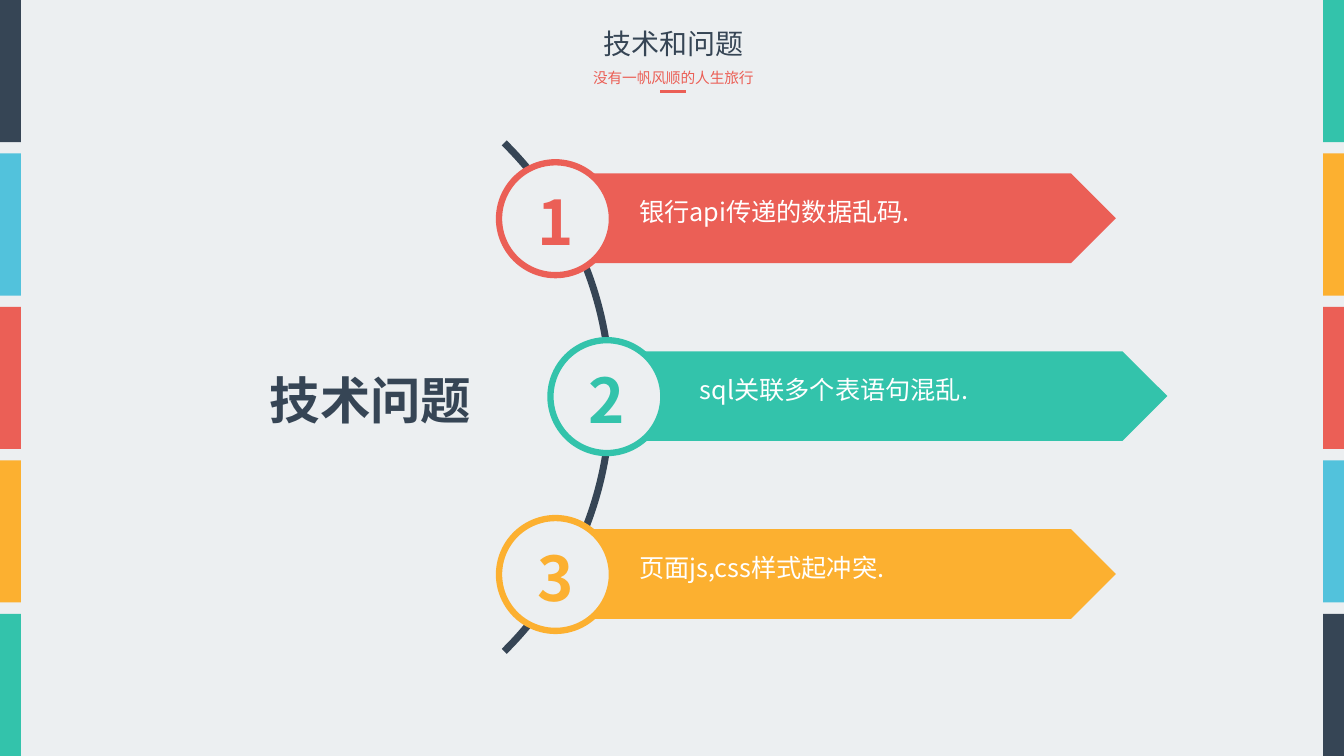
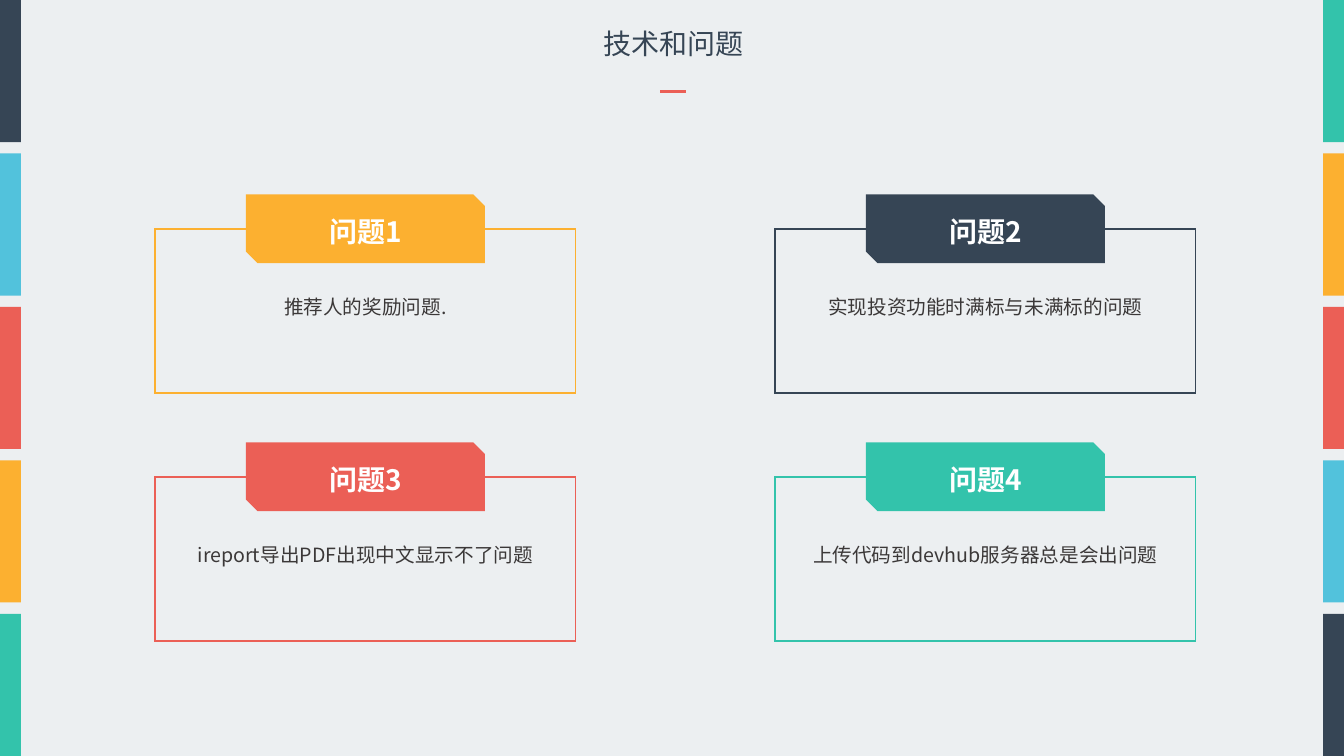
"""Build two slides on technical problems: a numbered arc and a grid of cards."""
from dataclasses import dataclass

from lxml import etree
from pptx import Presentation
from pptx.dml.color import RGBColor
from pptx.enum.shapes import MSO_CONNECTOR, MSO_SHAPE
from pptx.enum.text import MSO_ANCHOR, MSO_AUTO_SIZE, PP_ALIGN
from pptx.oxml.ns import qn
from pptx.presentation import Presentation as Deck
from pptx.shapes.autoshape import Shape
from pptx.slide import Slide
from pptx.util import Inches, Pt

NAVY = RGBColor(0x36, 0x45, 0x55)
SKY = RGBColor(0x52, 0xC2, 0xDC)
CORAL = RGBColor(0xEB, 0x5F, 0x56)
AMBER = RGBColor(0xFC, 0xB0, 0x30)
TEAL = RGBColor(0x33, 0xC3, 0xAB)
PAPER = RGBColor(0xEC, 0xEF, 0xF1)
WHITE = RGBColor(0xFF, 0xFF, 0xFF)
INK = RGBColor(0x3B, 0x38, 0x38)

RECT = MSO_SHAPE.RECTANGLE
OVAL = MSO_SHAPE.OVAL
ARROW = MSO_SHAPE.PENTAGON
ARC = MSO_SHAPE.BLOCK_ARC
SNIPPED = MSO_SHAPE.SNIP_2_DIAG_RECTANGLE
STRAIGHT = MSO_CONNECTOR.STRAIGHT
TOP = MSO_ANCHOR.TOP
NO_FIT = MSO_AUTO_SIZE.NONE
LEFT, CENTER = PP_ALIGN.LEFT, PP_ALIGN.CENTER

FONT = "Noto Sans CJK SC"
WIDTH, HEIGHT = Inches(13.33), Inches(7.5)
TITLE_ONLY = 5
BAND_COLORS = (NAVY, SKY, CORAL, AMBER, TEAL)
BAND_WIDTH, BAND_GAP = 1.56, 1.5


@dataclass(frozen=True)
class Box:
    """Place and size in percent of the slide."""
    left: float
    top: float
    width: float
    height: float

    def moved(self, columns: float, rows: float) -> "Box":
        return Box(self.left + columns, self.top + rows, self.width, self.height)

    def lengths(self) -> tuple[int, int, int, int]:
        return (across(self.left), down(self.top), across(self.width), down(self.height))


@dataclass(frozen=True)
class TextStyle:
    size: float
    color: RGBColor
    bold: bool = False
    align: PP_ALIGN = CENTER
    spacing: float = 1.0
    inset_left: float = 0.1
    inset_top: float = 0.05


@dataclass(frozen=True)
class Step:
    text: str
    color: RGBColor
    shift: float
    inset: float


@dataclass(frozen=True)
class Card:
    label: str
    text: str
    color: RGBColor


TITLE_BOX = Box(36.98, 2.8, 26.25, 4.9)
SUBTITLE_BOX = Box(36.98, 7.73, 26.25, 4.4)
RULE_LEFT, RULE_RIGHT, RULE_TOP = 49.13, 51.08, 12.13
ARC_BOX = Box(-7.87, 5.07, 53.4, 94.93)
ARC_ADJUSTMENTS = (189, 27, 0.004)
HEADING_BOX = Box(18.68, 48.13, 17.78, 9.47)
ARROW_BOX = Box(42.98, 22.93, 40.05, 11.87)
CIRCLE_BOX = Box(37.13, 21.47, 8.4, 14.93)
STEP_ROWS = 23.53
FRAME_BOX = Box(11.55, 30.27, 31.28, 21.73)
TAB_BOX = Box(18.3, 25.73, 17.78, 9.07)
CARD_COLUMNS, CARD_ROWS = 46.13, 32.8

TITLE_STYLE = TextStyle(20, NAVY)
SUBTITLE_STYLE = TextStyle(10.5, CORAL, spacing=1.3)
HEADING_STYLE = TextStyle(36, NAVY, bold=True)
LABEL_STYLE = TextStyle(20, WHITE, bold=True, inset_top=0.14)
CARD_STYLE = TextStyle(14, INK, spacing=1.3, inset_top=0.59)

STEPS = (
    Step("银行api传递的数据乱码.", CORAL, 0, 0.61),
    Step("sql关联多个表语句混乱.", TEAL, 3.83, 0.7),
    Step("页面js,css样式起冲突.", AMBER, 0, 0.61),
)
CARDS = (
    Card("问题1", "推荐人的奖励问题.", AMBER),
    Card("问题2", "实现投资功能时满标与未满标的问题", NAVY),
    Card("问题3", "ireport导出PDF出现中文显示不了问题", CORAL),
    Card("问题4", "上传代码到devhub服务器总是会出问题", TEAL),
)


def across(share: float) -> int:
    return round(WIDTH * share / 100)


def down(share: float) -> int:
    return round(HEIGHT * share / 100)


def write(holder: Shape, text: str, style: TextStyle) -> None:
    frame = holder.text_frame
    frame_format = {
        "auto_size": NO_FIT,
        "word_wrap": True,
        "vertical_anchor": TOP,
        "margin_left": Inches(style.inset_left),
        "margin_right": Inches(0.1),
        "margin_top": Inches(style.inset_top),
        "margin_bottom": 0,
    }
    for name, value in frame_format.items():
        setattr(frame, name, value)
    paragraph = frame.paragraphs[0]
    paragraph.alignment = style.align
    paragraph.line_spacing = style.spacing
    run = paragraph.add_run()
    run.text = text
    font_format = {"name": FONT, "size": Pt(style.size), "bold": style.bold}
    for name, value in font_format.items():
        setattr(run.font, name, value)
    run.font.color.rgb = style.color
    etree.SubElement(run._r.get_or_add_rPr(), qn("a:ea"), typeface=FONT)


def add_label(slide: Slide, box: Box, text: str, style: TextStyle) -> None:
    write(slide.shapes.add_textbox(*box.lengths()), text, style)


def add_figure(slide: Slide, kind: MSO_SHAPE, box: Box, fill: RGBColor | None = None,
               line: RGBColor | None = None, weight: float = 0) -> Shape:
    figure = slide.shapes.add_shape(kind, *box.lengths())
    figure.shadow.inherit = False
    if fill is None:
        figure.fill.background()
    else:
        figure.fill.solid()
        figure.fill.fore_color.rgb = fill
    if line is None:
        figure.line.fill.background()
    else:
        figure.line.color.rgb = line
        figure.line.width = Pt(weight)
        outline = figure._element.spPr.find(qn("a:ln"))
        etree.SubElement(outline, qn("a:miter"), lim="800000")
    return figure


def add_bands(slide: Slide) -> None:
    count = len(BAND_COLORS)
    height = (100 - BAND_GAP * (count - 1)) / count
    for left, colors in ((0, BAND_COLORS), (100 - BAND_WIDTH, BAND_COLORS[::-1])):
        for index, color in enumerate(colors):
            top = index * (height + BAND_GAP)
            add_figure(slide, RECT, Box(left, top, BAND_WIDTH, height), color)


def add_titled_slide(deck: Deck, title_text: str) -> Slide:
    slide = deck.slides.add_slide(deck.slide_layouts[TITLE_ONLY])
    slide.background.fill.solid()
    slide.background.fill.fore_color.rgb = PAPER
    title = slide.shapes.title
    title.left, title.top, title.width, title.height = TITLE_BOX.lengths()
    write(title, title_text, TITLE_STYLE)
    rule = slide.shapes.add_connector(STRAIGHT, across(RULE_LEFT), down(RULE_TOP),
                                      across(RULE_RIGHT), down(RULE_TOP))
    rule.line.color.rgb = CORAL
    rule.line.width = Pt(2.25)
    etree.SubElement(rule._element.spPr, qn("a:effectLst"))
    add_bands(slide)
    return slide


def add_step(slide: Slide, index: int, step: Step) -> None:
    offset = (step.shift, index * STEP_ROWS)
    arrow = add_figure(slide, ARROW, ARROW_BOX.moved(*offset), step.color)
    write(arrow, step.text, TextStyle(18, WHITE, align=LEFT, spacing=1.3,
                                      inset_left=step.inset, inset_top=0.14))
    circle = add_figure(slide, OVAL, CIRCLE_BOX.moved(*offset), PAPER, step.color, 4.5)
    write(circle, str(index + 1), TextStyle(44, step.color, bold=True))


def add_card(slide: Slide, index: int, card: Card) -> None:
    row, column = divmod(index, 2)
    offset = (column * CARD_COLUMNS, row * CARD_ROWS)
    frame = add_figure(slide, RECT, FRAME_BOX.moved(*offset), line=card.color, weight=1.25)
    write(frame, card.text, CARD_STYLE)
    tab = add_figure(slide, SNIPPED, TAB_BOX.moved(*offset), card.color)
    write(tab, card.label, LABEL_STYLE)


def build_steps(deck: Deck) -> None:
    slide = add_titled_slide(deck, "技术和问题")
    add_label(slide, SUBTITLE_BOX, "没有一帆风顺的人生旅行", SUBTITLE_STYLE)
    arc = add_figure(slide, ARC, ARC_BOX, NAVY, NAVY, 3)
    for index, value in enumerate(ARC_ADJUSTMENTS):
        arc.adjustments[index] = value
    for index, step in enumerate(STEPS):
        add_step(slide, index, step)
    add_label(slide, HEADING_BOX, "技术问题", HEADING_STYLE)


def build_cards(deck: Deck) -> None:
    slide = add_titled_slide(deck, "技术和问题")
    for index, card in enumerate(CARDS):
        add_card(slide, index, card)


def main() -> None:
    deck = Presentation()
    deck.slide_width, deck.slide_height = WIDTH, HEIGHT
    build_steps(deck)
    build_cards(deck)
    deck.save("out.pptx")


if __name__ == "__main__":
    main()
